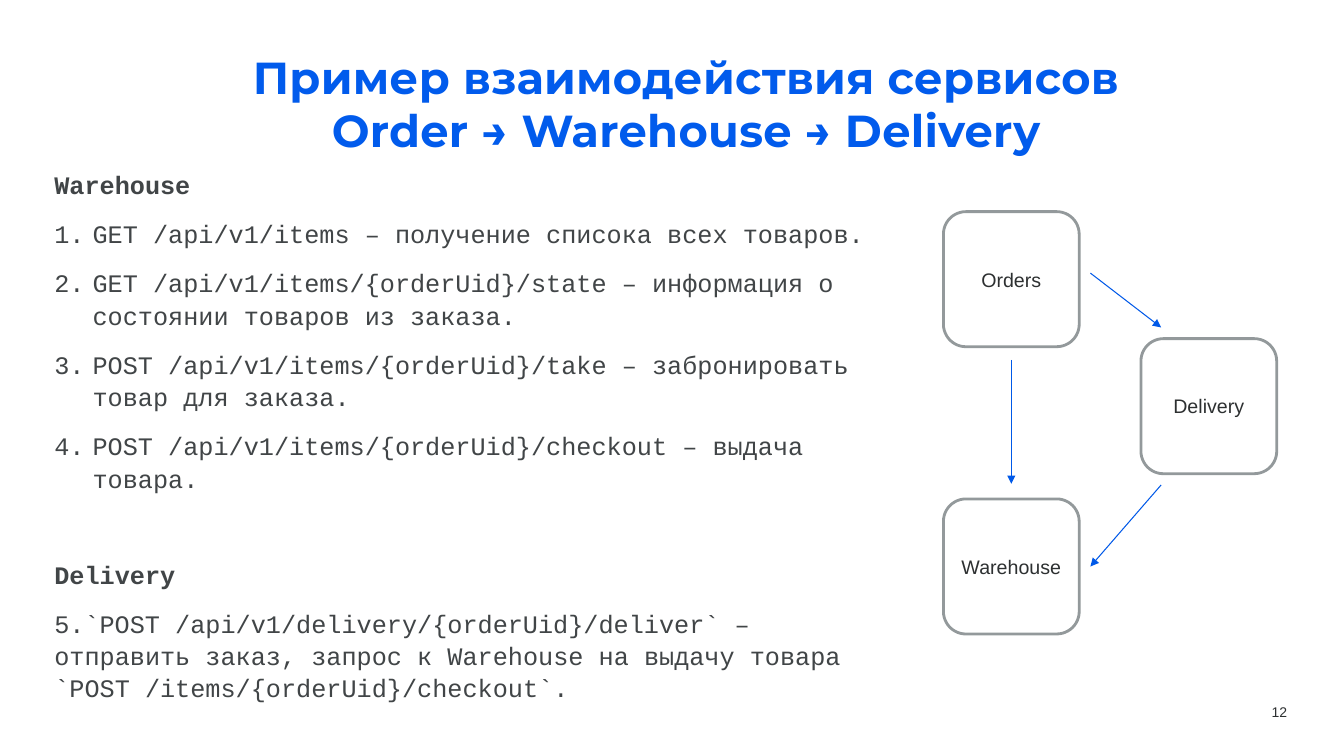
"""Build the slide on how the order, warehouse and delivery services interact."""
from collections import namedtuple

from lxml.etree import SubElement
from pptx import Presentation
from pptx.dml.color import RGBColor
from pptx.enum.shapes import MSO_CONNECTOR, MSO_SHAPE
from pptx.enum.text import MSO_ANCHOR, PP_ALIGN
from pptx.oxml.ns import qn
from pptx.util import Pt

Box = namedtuple("Box", "left top width height")

COLORS = {
    "title": "015BEC",
    "body": "414547",
    "label": "2D3031",
    "node_fill": "FFFFFF",
    "node_line": "93999B",
    "arrow": "0059E8",
}
FONTS = {
    "title": {"name": "Montserrat", "size": Pt(32), "bold": True},
    "body": {"name": "Courier New", "size": Pt(18), "bold": False},
    "heading": {"name": "Courier New", "size": Pt(18), "bold": True},
    "label": {"name": "Arial", "size": Pt(14)},
    "number": {"name": "Arial", "size": Pt(10)},
}
NO_MARGINS = dict.fromkeys(
    ("margin_left", "margin_top", "margin_right", "margin_bottom"), 0)

WAREHOUSE_CALLS = [
    "GET /api/v1/items – получение списока всех товаров.",
    "GET /api/v1/items/{orderUid}/state – информация о состоянии товаров из заказа.",
    "POST /api/v1/items/{orderUid}/take – забронировать товар для заказа.",
    "POST /api/v1/items/{orderUid}/checkout – выдача товара.",
]
DELIVERY_CALLS = [
    "`POST /api/v1/delivery/{orderUid}/deliver` – отправить заказ, запрос к "
    "Warehouse на выдачу товара `POST /items/{orderUid}/checkout`.",
]


def apply_format(target, values):
    """Set each named attribute of the target."""
    for name, value in values.items():
        setattr(target, name, value)


def to_points(values):
    """Turn plain numbers into point lengths."""
    return [Pt(value) for value in values]


def style_paragraph(paragraph, font, color, **layout):
    """Give a paragraph its layout, font and colour."""
    apply_format(paragraph, layout)
    apply_format(paragraph.font, FONTS[font])
    paragraph.font.color.rgb = RGBColor.from_string(COLORS[color])


def add_text_frame(slide, box, **layout):
    """Add a wrapping text box and return its text frame."""
    frame = slide.shapes.add_textbox(*to_points(box)).text_frame
    apply_format(frame, {"word_wrap": True, **layout})
    return frame


def add_title(slide, box):
    """Place the centred two-line title."""
    paragraph = add_text_frame(slide, box, **NO_MARGINS).paragraphs[0]
    paragraph.text = "Пример взаимодействия сервисов\vOrder → Warehouse → Delivery"
    style_paragraph(paragraph, "title", "title", alignment=PP_ALIGN.CENTER)
    for run in paragraph.runs:
        apply_format(run.font, FONTS["title"])
        run.font.color.rgb = RGBColor.from_string(COLORS["title"])
        run.font._element.set("spc", "20")


def add_number(paragraph, start, indent):
    """Number a paragraph from a start value with a hanging indent."""
    properties = paragraph._p.get_or_add_pPr()
    properties.set("marL", str(Pt(indent)))
    properties.set("indent", str(-Pt(indent)))
    SubElement(properties, qn("a:buFont"), typeface="+mj-lt")
    SubElement(properties, qn("a:buAutoNum"), type="arabicPeriod", startAt=str(start))


def add_api_list(slide, box):
    """Place the two headed lists of service calls."""
    frame = add_text_frame(slide, box)
    sections = [
        ("Warehouse", WAREHOUSE_CALLS, 1, 27.36, 0),
        ("Delivery", DELIVERY_CALLS, 5, 0, 45.5),
    ]
    for heading, calls, start, indent, gap in sections:
        paragraph = frame.add_paragraph() if gap else frame.paragraphs[0]
        paragraph.text = heading
        style_paragraph(paragraph, "heading", "body", space_before=Pt(gap), line_spacing=1.07)
        for call in calls:
            paragraph = frame.add_paragraph()
            paragraph.text = call
            add_number(paragraph, start, indent)
            style_paragraph(paragraph, "body", "body", space_before=Pt(12), line_spacing=1.07)


def add_service(slide, box, name):
    """Place one rounded service box with its name."""
    shape = slide.shapes.add_shape(MSO_SHAPE.FLOWCHART_ALTERNATE_PROCESS, *to_points(box))
    shape.shadow.inherit = False
    shape.fill.solid()
    shape.fill.fore_color.rgb = RGBColor.from_string(COLORS["node_fill"])
    shape.line.color.rgb = RGBColor.from_string(COLORS["node_line"])
    shape.line.width = Pt(2)
    shape.text_frame.vertical_anchor = MSO_ANCHOR.MIDDLE
    paragraph = shape.text_frame.paragraphs[0]
    paragraph.text = name
    style_paragraph(paragraph, "label", "label", alignment=PP_ALIGN.CENTER)


def add_arrow(slide, start, end):
    """Draw a thin arrow between two points."""
    connector = slide.shapes.add_connector(
        MSO_CONNECTOR.STRAIGHT, *to_points(start + end))
    connector.line.color.rgb = RGBColor.from_string(COLORS["arrow"])
    connector.line.width = Pt(0.75)
    SubElement(connector.line._get_or_add_ln(), qn("a:tailEnd"), type="triangle")
    SubElement(connector._element.spPr, qn("a:effectLst"))


def add_service_diagram(slide, box):
    """Place the three services and the arrows between them."""
    width, height = 97, 96.5
    right = box.left + box.width - width
    bottom = box.top + box.height - height
    middle = box.top + 90.7
    services = [
        ("Orders", box.left, box.top),
        ("Warehouse", box.left, bottom),
        ("Delivery", right, middle),
    ]
    for name, left, top in services:
        add_service(slide, Box(left, top, width, height), name)

    gap = 8
    center = box.left + width / 2
    beside = box.left + width + gap
    delivery_x = right + 14.4
    below_delivery = middle + height + gap
    arrows = [
        ((center, box.top + height + 9.4), (center, bottom - 10.8)),
        ((beside, box.top + 43.9), (delivery_x, middle - gap)),
        ((delivery_x, below_delivery), (beside, bottom + height / 2)),
    ]
    for start, end in arrows:
        add_arrow(slide, start, end)


def add_slide_number(slide, box):
    """Place the slide number at the right of its box."""
    frame = add_text_frame(slide, box, vertical_anchor=MSO_ANCHOR.MIDDLE, **NO_MARGINS)
    paragraph = frame.paragraphs[0]
    paragraph.text = "12"
    style_paragraph(paragraph, "number", "label",
                    alignment=PP_ALIGN.RIGHT, line_spacing=Pt(13.2))


def main():
    """Build and save the presentation."""
    presentation = Presentation()
    apply_format(presentation, {"slide_width": Pt(960), "slide_height": Pt(540)})
    slide = presentation.slides.add_slide(presentation.slide_layouts[6])
    add_title(slide, Box(43.2, 35.3, 894.2, 85.7))
    add_slide_number(slide, Box(698.4, 501.1, 221, 13))
    add_service_diagram(slide, Box(673.9, 151.2, 238.1, 301.7))
    add_api_list(slide, Box(31.7, 115.9, 596.9, 375.8))
    presentation.save("out.pptx")


if __name__ == "__main__":
    main()
